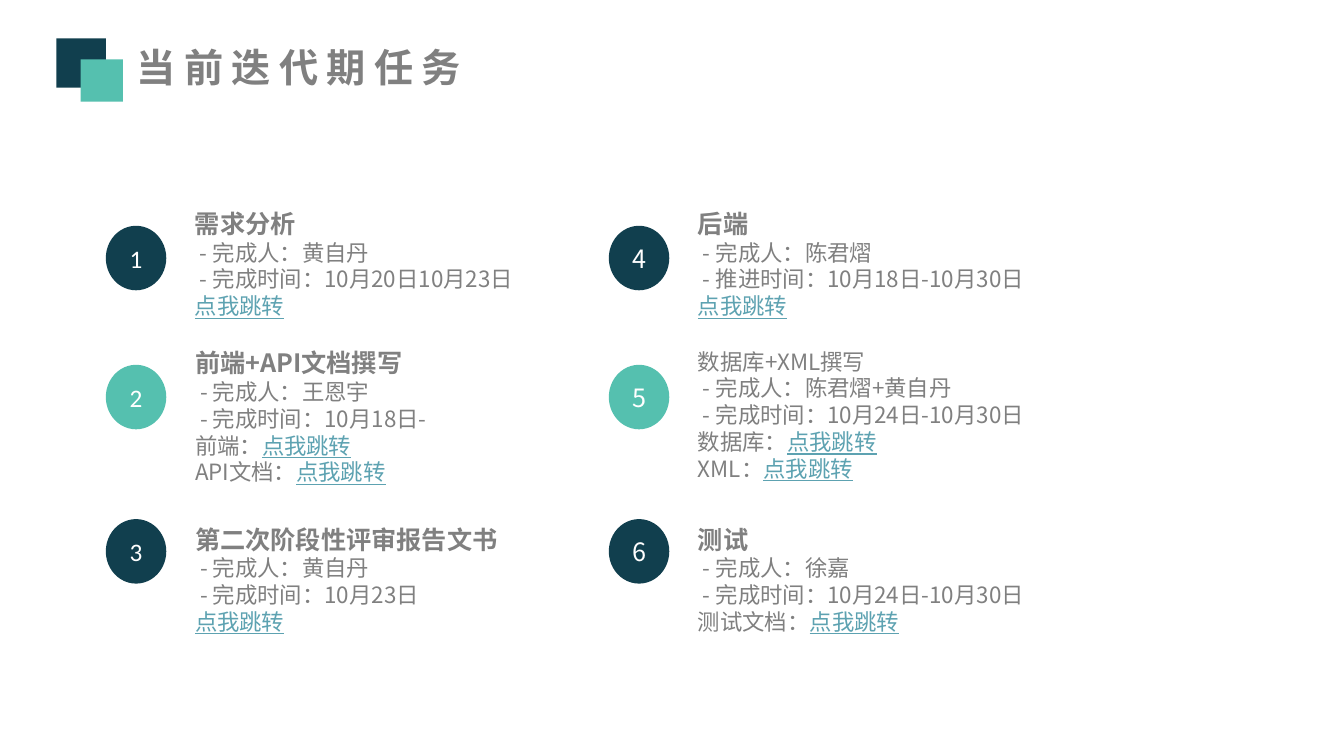
from lxml import etree
from pptx import Presentation
from pptx import util as u
from pptx.dml.color import RGBColor
from pptx.enum import shapes, text
from pptx.oxml.ns import qn

NAVY, TEAL, GREY, LINK, WHITE = "113F4E", "55C0AF", "808080", "5DA2B1", "FFFFFF"
CJK = "Noto Sans CJK SC"
JUMP = "点我跳转"
ROWS = [(161.3, 145.4), (260.6, 244.8), (370.8, 370.8)]
LEFT = [
    ("需求分析", 18, 261.4, 87.1,
     ["完成人：黄自丹", "完成时间：10月20日10月23日"], [""]),
    ("前端+API文档撰写", 18, 250.6, 106.6,
     ["完成人：王恩宇", "完成时间：10月18日-"], ["前端：", "API文档："]),
    ("第二次阶段性评审报告文书", 18, 239, 87.1,
     ["完成人：黄自丹", "完成时间：10月23日"], [""]),
]
RIGHT = [
    ("后端", 18, 261.4, 87.1,
     ["完成人：陈君熠", "推进时间：10月18日-10月30日"], [""]),
    ("数据库+XML撰写", 16, 262.1, 104.4,
     ["完成人：陈君熠+黄自丹", "完成时间：10月24日-10月30日"], ["数据库：", "XML："]),
    ("测试", 18, 262.1, 87.1,
     ["完成人：徐嘉", "完成时间：10月24日-10月30日"], ["测试文档："]),
]


def rgb(value):
    """Turn a hex string into a colour."""
    return RGBColor.from_string(value)


def add_run(p, words, size=16, color=GREY, bold=False, underline=False, font=CJK, spacing=0):
    """Append a formatted run to a paragraph."""
    r = p.add_run()
    r.text = words
    f = r.font
    f.size, f.bold, f.underline, f.name = u.Pt(size), bold, underline, font
    f.color.rgb = rgb(color)
    rPr = r._r.get_or_add_rPr()
    etree.SubElement(rPr, qn("a:ea")).set("typeface", font)
    if spacing:
        rPr.set("spc", str(spacing * 100))


def add_box(s, x, y, w, h, wrap=True):
    """Add a text box that grows with its text and return its frame."""
    tf = s.shapes.add_textbox(u.Pt(x), u.Pt(y), u.Pt(w), u.Pt(h)).text_frame
    tf.word_wrap = wrap
    tf.auto_size = text.MSO_AUTO_SIZE.SHAPE_TO_FIT_TEXT
    return tf


def add_plain(s, kind, x, y, w, h, fill):
    """Add a flat filled shape without an outline."""
    sp = s.shapes.add_shape(kind, u.Pt(x), u.Pt(y), u.Pt(w), u.Pt(h))
    sp.shadow.inherit = False
    sp.fill.solid()
    sp.fill.fore_color.rgb = rgb(fill)
    sp.line.fill.background()
    return sp


def add_header(s, x, y, title):
    """Draw the slide title and its two overlapping squares."""
    p = add_box(s, x + 46.8, y, 252.7, 41, wrap=False).paragraphs[0]
    p.alignment = text.PP_ALIGN.CENTER
    add_run(p, title, size=28, bold=True, spacing=6)
    for offset_x, offset_y, side, fill in [(0, 0, 35.3, NAVY), (17.3, 15.1, 30.2, TEAL)]:
        add_plain(s, shapes.MSO_SHAPE.RECTANGLE, x + offset_x, y + offset_y, side, side, fill)


def add_badge(s, x, y, number, fill, font):
    """Draw a numbered circle."""
    tf = add_plain(s, shapes.MSO_SHAPE.OVAL, x, y, 43.2, 46.1, fill).text_frame
    tf.vertical_anchor = text.MSO_ANCHOR.MIDDLE
    p = tf.paragraphs[0]
    p.alignment = text.PP_ALIGN.CENTER
    add_run(p, str(number), size=18, color=WHITE, font=font)


def add_task(s, x, y, task):
    """Write one task: heading, details and jump lines."""
    heading, size, w, h, details, labels = task
    tf = add_box(s, x, y, w, h)
    add_run(tf.paragraphs[0], heading, size=size, bold=size == 18)
    for detail in details:
        add_run(tf.add_paragraph(), " - " + detail)
    for label in labels:
        p = tf.add_paragraph()
        if label:
            add_run(p, label)
        add_run(p, JUMP, color=LINK, underline=True)


def add_column(s, x, first, tasks, font):
    """Draw a column of numbered tasks."""
    for i, (task, (badge_y, text_y)) in enumerate(zip(tasks, ROWS)):
        add_badge(s, x, badge_y, first + i, TEAL if i == 1 else NAVY, font)
        add_task(s, x + 56.6, text_y, task)


def main():
    """Build and save the slide."""
    prs = Presentation()
    prs.slide_width, prs.slide_height = u.Pt(960), u.Pt(540)
    s = prs.slides.add_slide(prs.slide_layouts[6])
    add_header(s, 40.3, 27.4, "当前迭代期任务")
    add_column(s, 75.6, 1, LEFT, "Calibri")
    add_column(s, 434.9, 4, RIGHT, CJK)
    prs.save("out.pptx")


if __name__ == "__main__":
    main()
